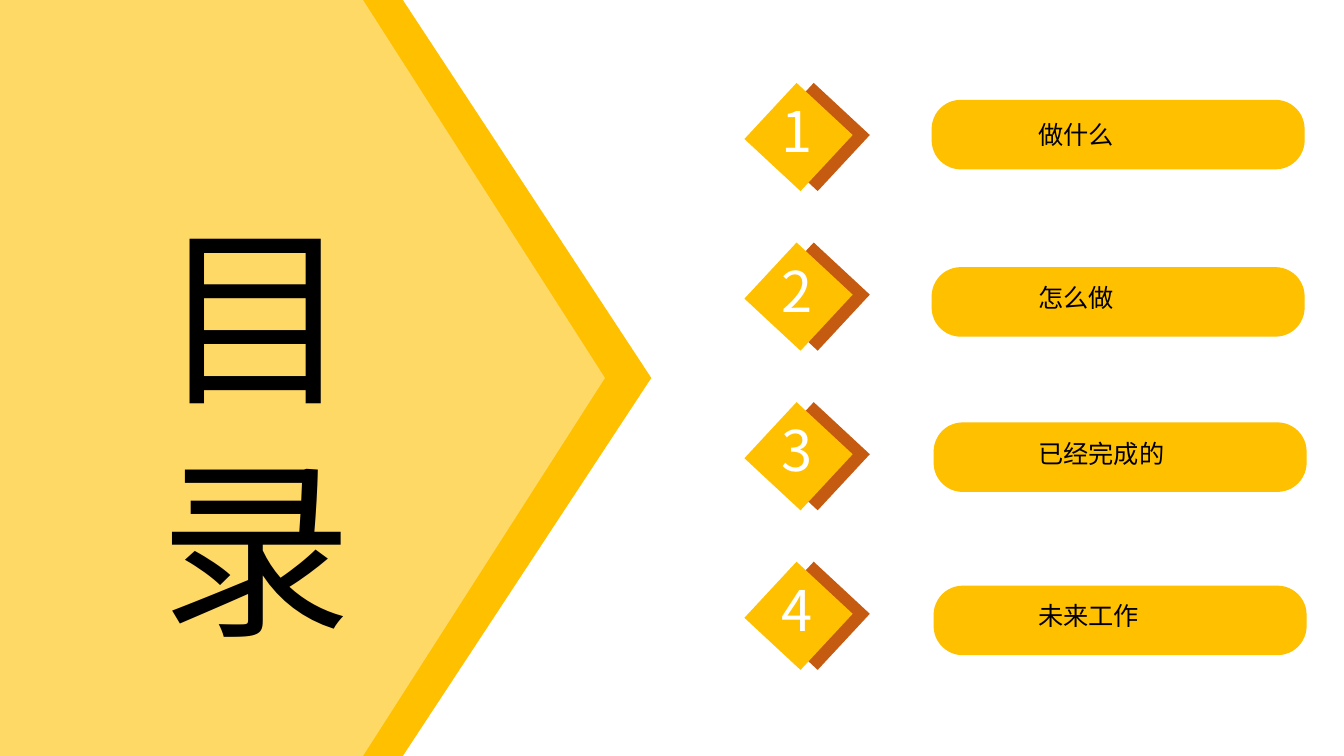
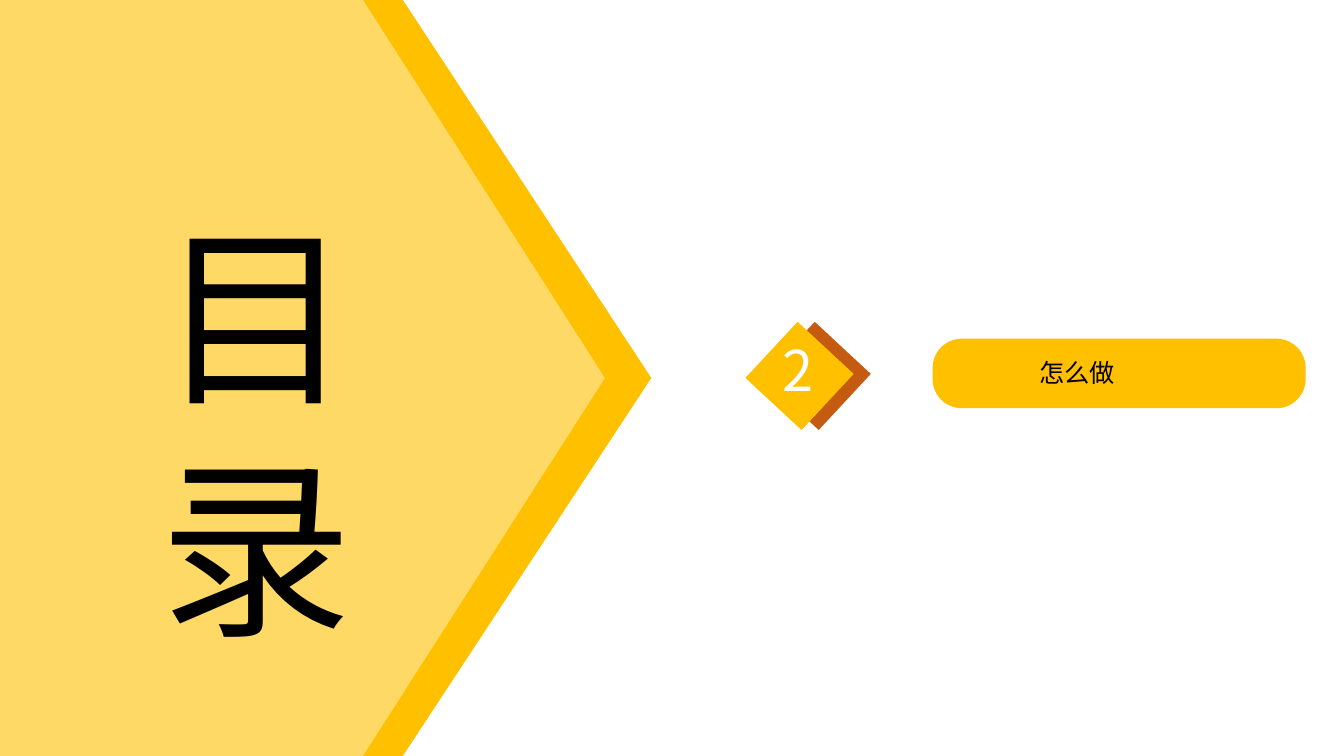
from lxml.etree import SubElement
from pptx import Presentation
from pptx.dml.color import RGBColor
from pptx.enum.shapes import MSO_SHAPE
from pptx.enum.text import MSO_ANCHOR, MSO_AUTO_SIZE, PP_ALIGN
from pptx.oxml.ns import qn
from pptx.util import Inches, Pt

TITLE = "目录"
ENTRIES = [
    {"number": "1", "label": "做什么", "bar": (9.24, 0.99), "label_top": 1.18},
    {"number": "2", "label": "怎么做", "bar": (9.24, 2.65), "label_top": 2.8},
    {"number": "3", "label": "已经完成的", "bar": (9.26, 4.19), "label_top": 4.35},
    {"number": "4", "label": "未来工作", "bar": (9.26, 5.81), "label_top": 5.96},
]
CURRENT = {"number": "2", "label": "怎么做", "bar": (9.25, 3.36), "label_top": 3.55}

COLORS = {"gold": "FFC000", "pale": "FFD966", "rust": "C55A11",
          "white": "FFFFFF", "black": "000000"}
DISPLAY_FONT, LABEL_FONT = "Noto Sans CJK JP", "Noto Sans CJK SC"
ARROWS = [(0.3, 6.16, "gold"), (0, 6, "pale")]

FIRST_TOP, LAST_TOP = 0.98, 5.73
PITCH = (LAST_TOP - FIRST_TOP) / (len(ENTRIES) - 1)
DIAMOND_LEFT, DIAMOND_SIDE, DIAMOND_SHIFT = 7.54, 0.76, 0.17
LABEL_LEFT = 10.2
NUMBER_RISE, LABEL_RISE = 0.08, 0.05


def add_block(slide, preset, left, top, width, height, color, adjustments=()):
    block = slide.shapes.add_shape(
        preset, Inches(left), Inches(top), Inches(width), Inches(height))
    block.shadow.inherit = False
    block.fill.solid()
    block.fill.fore_color.rgb = RGBColor.from_string(COLORS[color])
    block.line.fill.background()
    for index, value in enumerate(adjustments):
        block.adjustments[index] = value
    return block


def style(paragraph, size, font, color):
    paragraph.alignment = PP_ALIGN.LEFT
    paragraph.font.size = Pt(size)
    paragraph.font.name = font
    paragraph.font.color.rgb = RGBColor.from_string(COLORS[color])
    defaults = paragraph._p.pPr.find(qn("a:defRPr"))
    SubElement(defaults, qn("a:ea")).set("typeface", font)


def add_text(slide, text, left, top, width, height, size, font, color):
    frame = slide.shapes.add_textbox(
        Inches(left), Inches(top), Inches(width), Inches(height)).text_frame
    frame.word_wrap = True
    frame.text = text
    style(frame.paragraphs[0], size, font, color)


def prepare_layout(layout, slide):
    for index, (left, width, color) in enumerate(ARROWS):
        arrow = add_block(slide, MSO_SHAPE.RIGHT_ARROW, left, 0, width, 7.5,
                          color, (1, 0.4))._element
        arrow.nvSpPr.cNvPr.set("id", str(20 + index))
        layout.shapes._spTree.insert(2 + index, arrow)
    heading = layout.placeholders[0]
    heading.left, heading.top = Inches(1.48), Inches(1.89)
    heading.width, heading.height = Inches(2.3), Inches(4.75)
    heading.text_frame.vertical_anchor = MSO_ANCHOR.TOP
    heading.text_frame.auto_size = MSO_AUTO_SIZE.NONE
    heading.text_frame.word_wrap = True


def add_title(slide):
    slide.shapes.title.text = TITLE
    paragraph = slide.shapes.title.text_frame.paragraphs[0]
    paragraph.line_spacing = Pt(166)
    style(paragraph, 138, DISPLAY_FONT, "black")


def add_entry(slide, entry, top, nudge=0):
    left = DIAMOND_LEFT + nudge
    for shift, color in ((DIAMOND_SHIFT, "rust"), (0, "gold")):
        diamond = add_block(slide, MSO_SHAPE.RECTANGLE, left + shift, top,
                            DIAMOND_SIDE, DIAMOND_SIDE, color)
        diamond.rotation = 42.9
    add_text(slide, entry["number"], left + 0.11, top + 0.01 - NUMBER_RISE,
             0.7, 0.77, 40, DISPLAY_FONT, "white")
    add_block(slide, MSO_SHAPE.ROUNDED_RECTANGLE, *entry["bar"], 3.7, 0.69,
              "gold", (0.42,))
    add_text(slide, entry["label"], LABEL_LEFT + nudge,
             entry["label_top"] - LABEL_RISE, 3.02, 0.4, 18, LABEL_FONT, "black")


def main():
    deck = Presentation()
    deck.slide_width, deck.slide_height = Inches(13.33), Inches(7.5)
    layout = deck.slide_layouts[5]
    contents, section = (deck.slides.add_slide(layout) for _ in range(2))
    prepare_layout(layout, contents)
    for slide in (contents, section):
        add_title(slide)
    for index, entry in enumerate(ENTRIES):
        add_entry(contents, entry, FIRST_TOP + index * PITCH)
    add_entry(section, CURRENT, 3.35, 0.01)
    deck.save("out.pptx")


if __name__ == "__main__":
    main()
